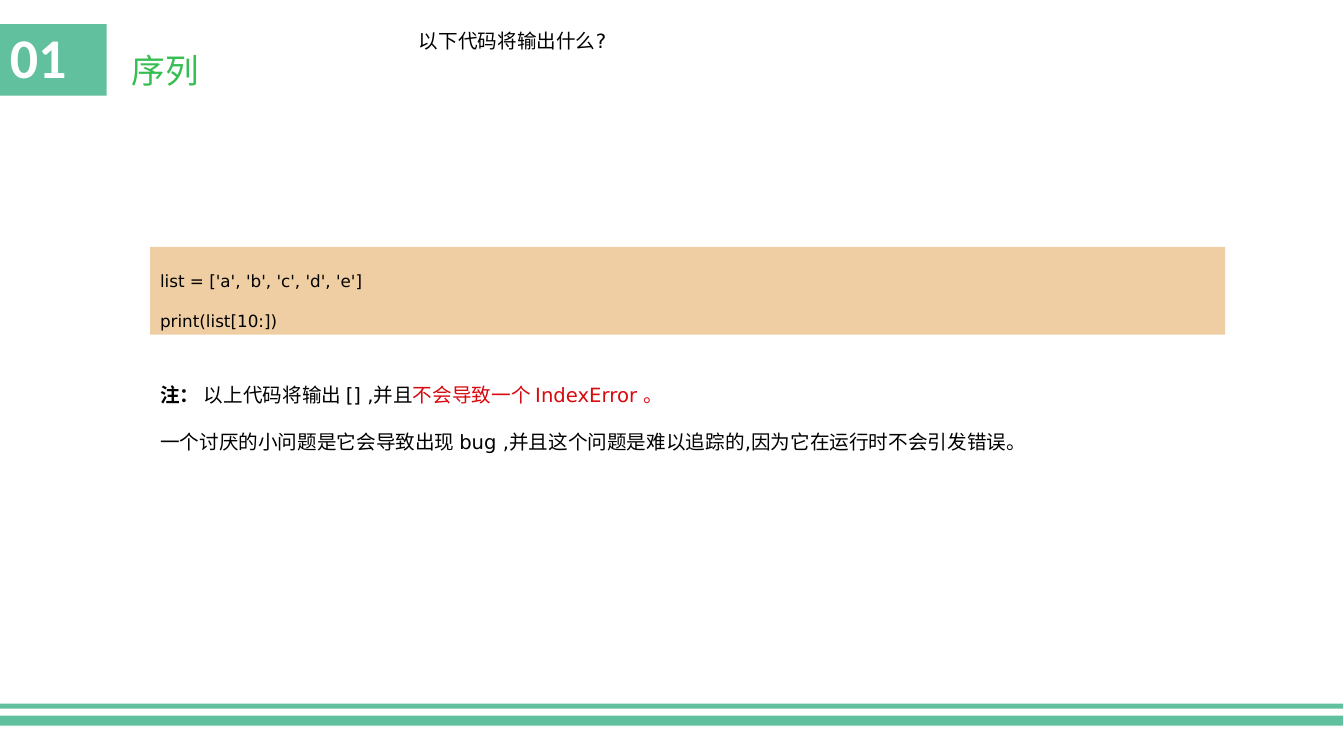
from dataclasses import dataclass
from typing import Optional

from lxml.etree import SubElement
from pptx import Presentation
from pptx.dml.color import RGBColor
from pptx.enum.shapes import MSO_SHAPE
from pptx.enum.text import MSO_ANCHOR, MSO_AUTO_SIZE, PP_ALIGN
from pptx.oxml.ns import qn
from pptx.util import Inches, Pt

COLUMNS, ROWS = 133.4, 75
PAGE_WIDTH, PAGE_HEIGHT = Inches(13.34), Inches(7.5)


@dataclass(frozen=True)
class Theme:
    """Colours, fonts and type sizes of the slide."""
    green: str = "61C09E"
    heading_green: str = "36BE52"
    sand: str = "F0CEA3"
    red: str = "D8090F"
    black: str = "000000"
    white: str = "FFFFFF"
    number_font: str = "Calibri"
    heading_font: str = "TeX Gyre Adventor"
    body_font: str = "DejaVu Sans"
    number_size: int = 40
    heading_size: int = 24
    body_size: int = 14
    code_size: int = 12


THEME = Theme()


@dataclass(frozen=True)
class Area:
    """A place on the grid, in columns and rows."""
    left: float
    top: float
    width: float
    height: float

    def lengths(self) -> tuple:
        """Return left, top, width and height as slide lengths."""
        column, row = PAGE_WIDTH / COLUMNS, PAGE_HEIGHT / ROWS
        return (round(self.left * column), round(self.top * row),
                round(self.width * column), round(self.height * row))


@dataclass(frozen=True)
class Span:
    """A stretch of text with its emphasis."""
    text: str
    color: str = THEME.black
    bold: bool = False


STRIPES = [Area(0, 71, 133.3, 1), Area(0, 69.8, 133.3, 0.5)]
NUMBER = Area(0, 2.4, 10.6, 7.1)
HEADING = Area(12.1, 2.4, 70.4, 7.1)
QUESTION = Area(40.6, 2.4, 43.9, 3.4)
CODE = Area(14.9, 24.5, 106.7, 8.7)
NOTE = Area(14.9, 37.5, 109.6, 8)

CODE_LINES = [[Span("list = ['a', 'b', 'c', 'd', 'e']")],
              [Span("print(list[10:])")]]
NOTE_LINES = [
    [Span("注：", bold=True), Span(" 以上代码将输出 [] ,并且"),
     Span("不会导致一个 IndexError 。", THEME.red)],
    [Span("一个讨厌的小问题是它会导致出现 bug ,并且这个问题是难以追踪的,因为它在运行时不会引发错误。")],
]


def place(box, area: Area) -> None:
    """Move a box to its area on the grid."""
    box.left, box.top, box.width, box.height = area.lengths()


def add_block(page, area: Area, color: str):
    """Draw a plain filled rectangle."""
    block = page.shapes.add_shape(MSO_SHAPE.RECTANGLE, *area.lengths())
    block.shadow.inherit = False
    block.fill.solid()
    block.fill.fore_color.rgb = RGBColor.from_string(color)
    block.line.fill.background()
    return block


def write(box, lines: list, *, size: int, font: str = THEME.body_font,
          anchor: MSO_ANCHOR = MSO_ANCHOR.TOP, spacing: float = 1,
          before: float = 0, after: float = 0,
          bullet: Optional[bool] = None) -> None:
    """Fill a box with lines of spans in one format."""
    frame = box.text_frame
    frame.word_wrap = True
    frame.auto_size = MSO_AUTO_SIZE.NONE
    frame.vertical_anchor = anchor
    for index, spans in enumerate(lines):
        para = frame.add_paragraph() if index else frame.paragraphs[0]
        para.alignment = PP_ALIGN.LEFT
        para.line_spacing = spacing
        para.space_before, para.space_after = Pt(before), Pt(after)
        if bullet is False:
            properties = para._p.get_or_add_pPr()
            properties.set("marL", "0")
            properties.set("indent", "0")
            SubElement(properties, qn("a:buNone"))
        for span in spans:
            run = para.add_run()
            run.text = span.text
            run.font.name, run.font.size = font, Pt(size)
            run.font.bold = span.bold
            run.font.color.rgb = RGBColor.from_string(span.color)


def build() -> None:
    """Build the slide and save the deck."""
    deck = Presentation()
    deck.slide_width, deck.slide_height = PAGE_WIDTH, PAGE_HEIGHT
    page = deck.slides.add_slide(deck.slide_layouts[1])
    title, note = page.placeholders

    for stripe in STRIPES:
        add_block(page, stripe, THEME.green)
    number = add_block(page, NUMBER, THEME.green)
    write(number, [[Span("01", THEME.white, True)]], size=THEME.number_size,
          font=THEME.number_font, anchor=MSO_ANCHOR.MIDDLE, spacing=0.9, before=10)

    place(title, HEADING)
    write(title, [[Span("序列", THEME.heading_green)]], size=THEME.heading_size,
          font=THEME.heading_font, anchor=MSO_ANCHOR.MIDDLE, spacing=1.5, before=10)

    question = page.shapes.add_textbox(*QUESTION.lengths())
    write(question, [[Span("以下代码将输出什么?")]], size=THEME.body_size)

    code = add_block(page, CODE, THEME.sand)
    write(code, CODE_LINES, size=THEME.code_size, anchor=MSO_ANCHOR.MIDDLE, spacing=2)

    place(note, NOTE)
    write(note, NOTE_LINES, size=THEME.body_size, after=16.5, bullet=False)

    deck.save("out.pptx")


if __name__ == "__main__":
    build()
